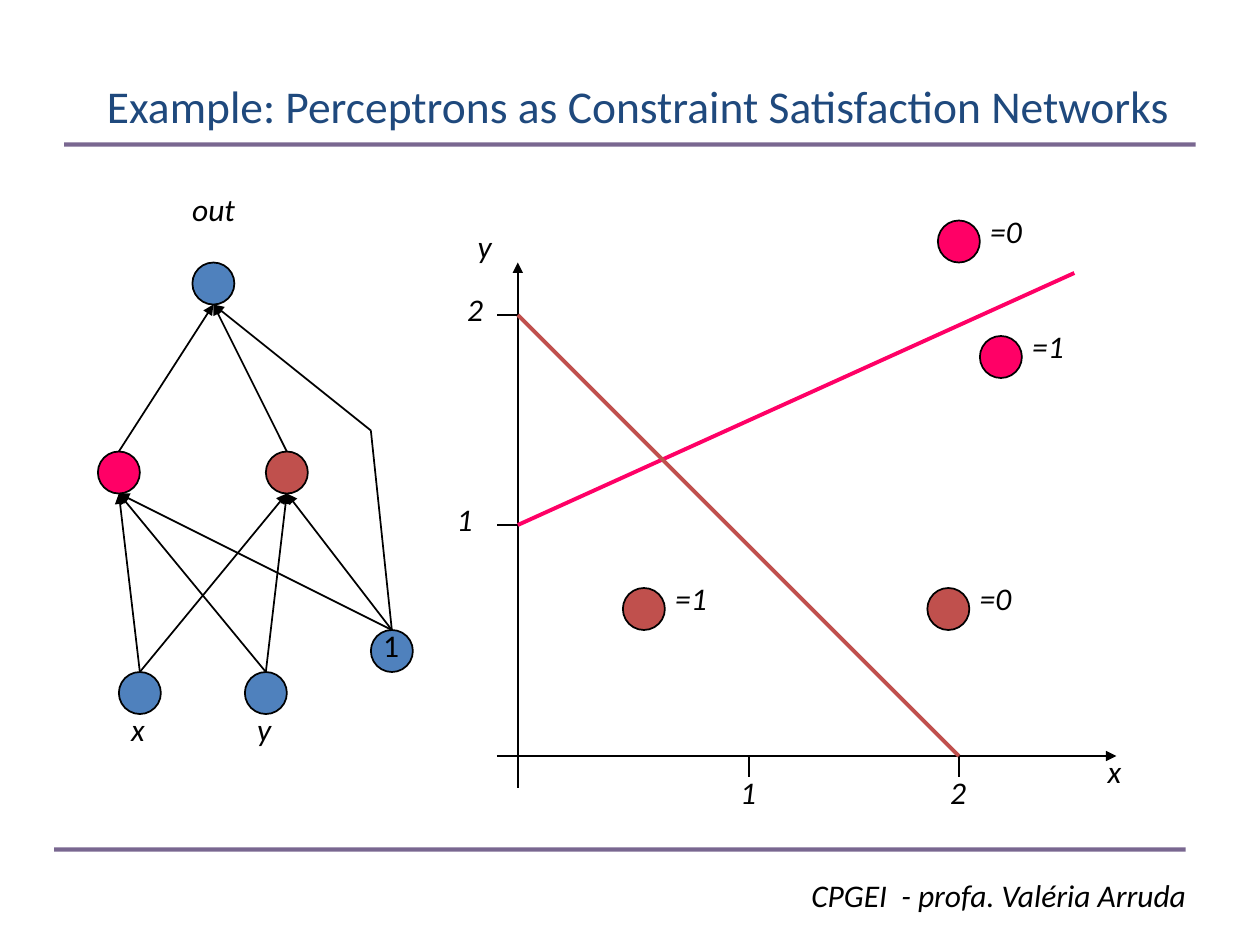
from lxml.etree import SubElement
from pptx import Presentation
from pptx.dml.color import RGBColor
from pptx.enum.shapes import MSO_CONNECTOR, MSO_SHAPE
from pptx.enum.text import MSO_ANCHOR
from pptx.oxml.ns import qn
from pptx.util import Inches, Pt

BLACK = RGBColor(0x00, 0x00, 0x00)
BLUE = RGBColor(0x4F, 0x81, 0xBD)
PINK = RGBColor(0xFF, 0x00, 0x66)
RED = RGBColor(0xC0, 0x50, 0x4D)
NAVY = RGBColor(0x1F, 0x49, 0x7D)
PURPLE = RGBColor(0x60, 0x4A, 0x7B)

CELL = 1 / 6      # grid step in inches
LEFT = 0.11       # x of grid column 0
LABEL = dict(name="Calibri", size=Pt(18), italic=True)

# Network nodes: centre column, centre row, colour
NODES = {
    "x": (6, 33, BLUE),
    "y": (12, 33, BLUE),
    "bias": (18, 31, BLUE),
    "pink": (5, 22.5, PINK),
    "red": (13, 22.5, RED),
    "out": (9.5, 13.5, BLUE),
}
EDGES = [("x", "pink"), ("x", "red"), ("y", "red"), ("y", "pink"),
         ("bias", "pink"), ("bias", "red"), ("pink", "out"), ("red", "out")]
BIAS_BEND = (17, 20.5)

# Plot geometry: columns of x = 0, 1, 2 and rows of y = 0, 1, 2
X0, X1, X2 = 24, 35, 45
Y0, Y1, Y2 = 36, 25, 15

# Labels: text, left column, top row
LABELS = [("x", 5, 33.5), ("y", 11, 33.5), ("out", 7.9, 8.75),
          ("x", 51.5, 35.5), ("y", 21.5, 10.5),
          ("1", 20.5, 23.5), ("2", 21, 13.5),
          ("1", 34, 36.5), ("2", 44, 36.5)]
# Which side of each line a unit fires on: column, row, colour, text
REGIONS = [(45, 11.5, PINK, "=0"), (47, 17, PINK, "=1"),
           (44.5, 29, RED, "=0"), (30, 29, RED, "=1")]


def at(col, row):
    return Inches(LEFT + col * CELL), Inches(row * CELL)


def add_line(s, start, end, color=BLACK, width=1, arrow=False, alpha=None):
    c = s.shapes.add_connector(MSO_CONNECTOR.STRAIGHT, *start, *end)
    c.line.color.rgb = color
    c.line.width = Pt(width)
    sp_pr = c._element.spPr
    ln = sp_pr.find(qn("a:ln"))
    if alpha:
        SubElement(ln.find(".//" + qn("a:srgbClr")), qn("a:alpha"),
                   val=str(alpha * 1000))
    if arrow:
        SubElement(ln, qn("a:tailEnd"), type="triangle")
    SubElement(sp_pr, qn("a:effectLst"))


def add_node(s, col, row, color):
    sp = s.shapes.add_shape(MSO_SHAPE.OVAL, *at(col - 1, row - 1),
                            Inches(2 * CELL), Inches(2 * CELL))
    sp.shadow.inherit = False
    sp.fill.solid()
    sp.fill.fore_color.rgb = color
    sp.line.color.rgb = BLACK
    sp.line.width = Pt(1)


def add_text(s, text, left, top, width, height, color=BLACK, wrap=False,
             anchor=MSO_ANCHOR.TOP, **fmt):
    tf = s.shapes.add_textbox(left, top, width, height).text_frame
    tf.word_wrap = wrap
    tf.vertical_anchor = anchor
    r = tf.paragraphs[0].add_run()
    r.text = text
    r.font.color.rgb = color
    for key, value in fmt.items():
        setattr(r.font, key, value)


def add_label(s, text, col, row, **fmt):
    width = {1: 0.36, 2: 0.59, 3: 0.63}[len(text)]
    add_text(s, text, *at(col, row), Inches(width), Inches(0.5),
             **{**LABEL, **fmt})


def add_frame(s, prs):
    # Title, rules and footer
    w, h = prs.slide_width, prs.slide_height
    for x, y in ((0.051, 0.153), (0.043, 0.899)):
        add_line(s, (int(w * x), int(h * y)), (int(w * (x + 0.898)), int(h * y)),
                 PURPLE, 2.5, alpha=83)
    add_text(s, "CPGEI  - profa. Valéria Arruda", int(w * 0.634), int(h * 0.92),
             int(w * 0.321), int(h * 0.053), **LABEL)
    add_text(s, "Example: Perceptrons as Constraint Satisfaction Networks",
             int(w * 0.075), int(h * 0.028), int(w * 0.895), int(h * 0.167),
             NAVY, True, MSO_ANCHOR.MIDDLE, name="Calibri", size=Pt(26))


def add_network(s):
    for node in NODES.values():
        add_node(s, *node)
    add_label(s, "1", 17, 29.5, italic=False)

    # Edges run from the top of one node to the bottom of the next
    top = {k: at(c, r - 1) for k, (c, r, _) in NODES.items()}
    bottom = {k: at(c, r + 1) for k, (c, r, _) in NODES.items()}
    for a, b in EDGES:
        add_line(s, top[a], bottom[b], arrow=True)
    bend = at(*BIAS_BEND)
    add_line(s, top["bias"], bend)
    add_line(s, bend, bottom["out"], arrow=True)


def add_plot(s):
    # Axes and ticks
    add_line(s, at(X0 - 1, Y0), at(52.5, Y0), arrow=True)
    add_line(s, at(X0, Y0 + 1.5), at(X0, 12.5), arrow=True)
    for row in (Y1, Y2):
        add_line(s, at(X0, row), at(X0 - 1, row))
    for col in (X1, X2):
        add_line(s, at(col, Y0), at(col, Y0 + 1))

    # Decision lines and their regions
    add_line(s, at(X0, Y1), at(50.5, 13), PINK, 2.25)
    add_line(s, at(X0, Y2), at(X2, Y0), RED, 2.25)
    for col, row, color, text in REGIONS:
        add_node(s, col, row, color)
        add_label(s, text, col + 0.9, row - 1.7)


def main():
    prs = Presentation()
    prs.slide_width, prs.slide_height = Inches(10), Inches(7.5)
    s = prs.slides.add_slide(prs.slide_layouts[6])
    add_frame(s, prs)
    add_network(s)
    add_plot(s)
    for label in LABELS:
        add_label(s, *label)
    prs.save("out.pptx")


if __name__ == "__main__":
    main()
